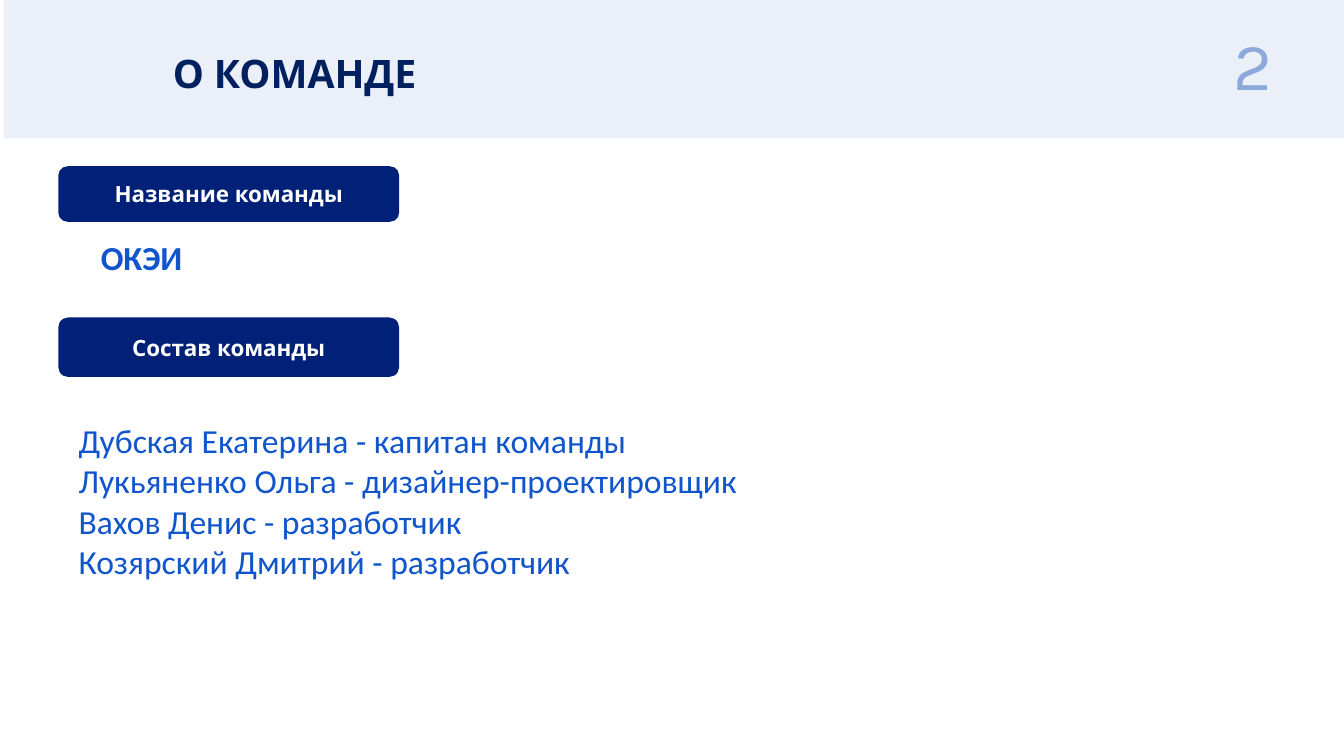
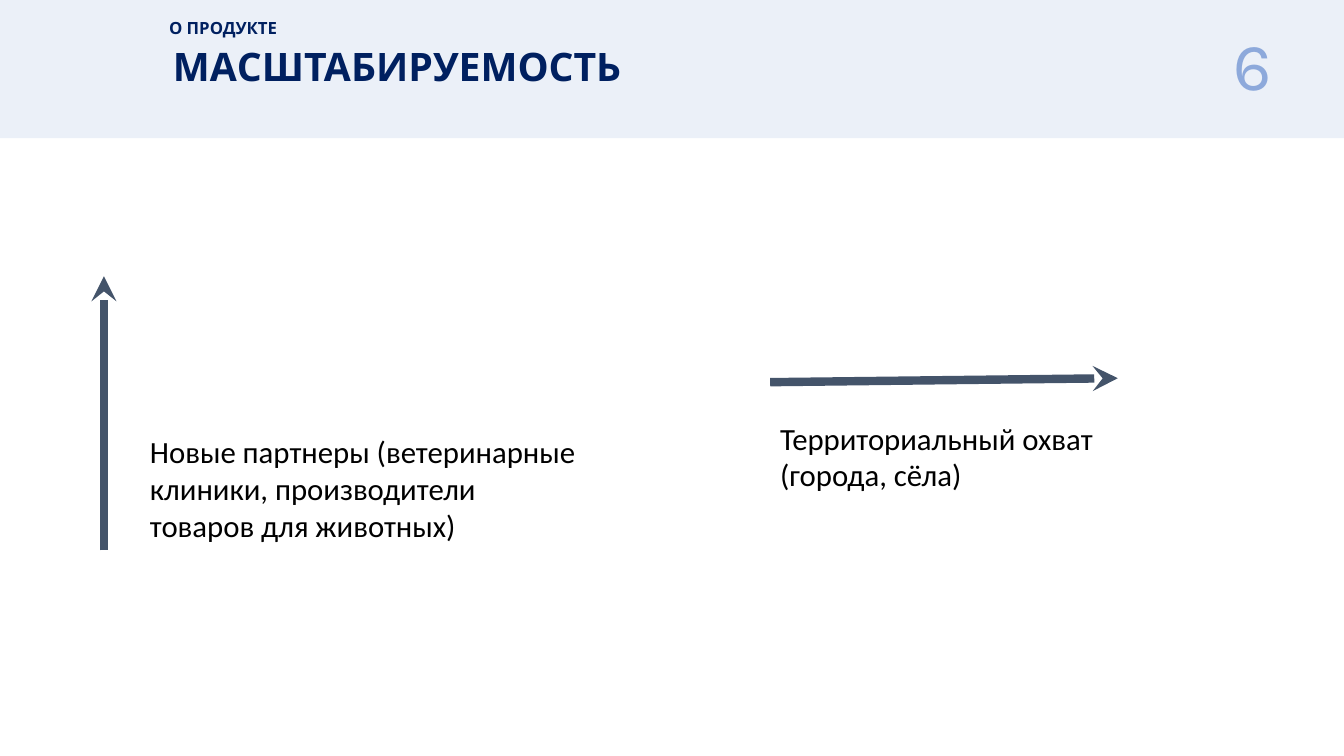
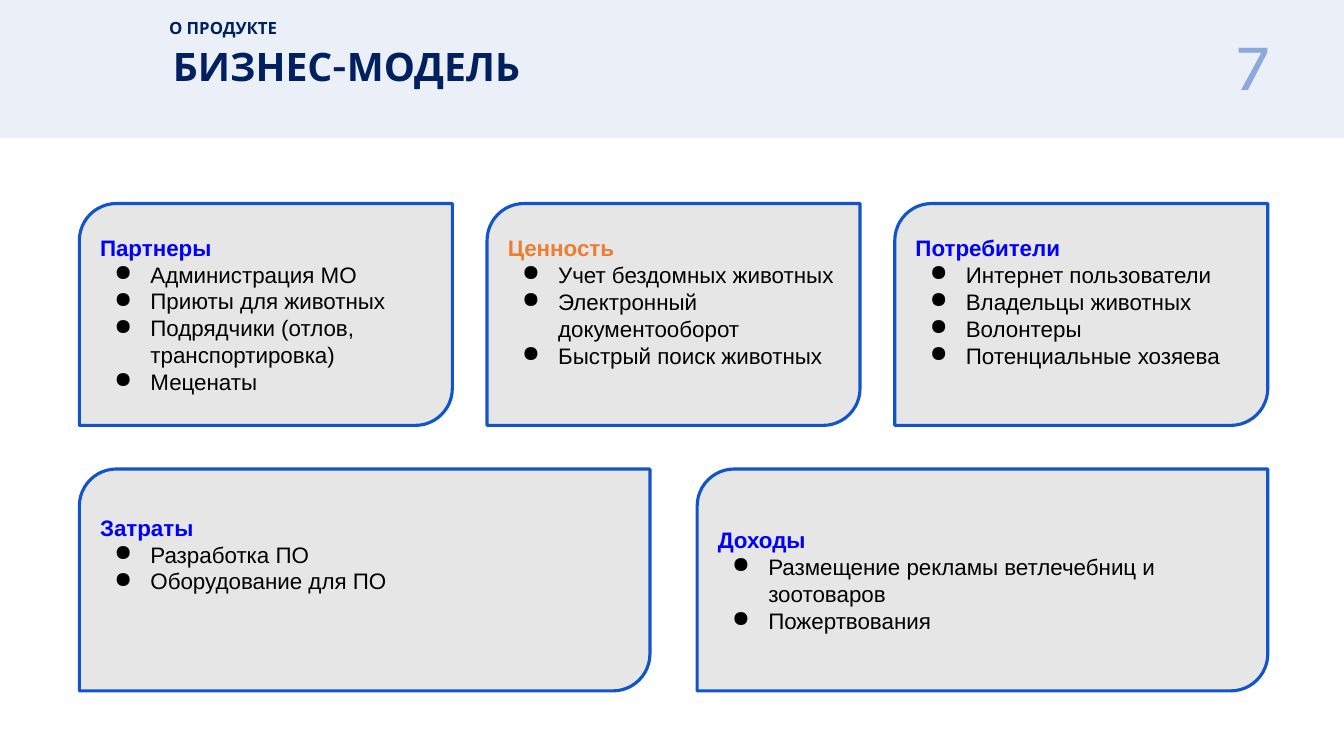
import pptx
import pptx.util
import pptx.dml.color
import pptx.enum.shapes
import pptx.enum.text
import pptx.oxml.ns
import lxml.etree

Cm = pptx.util.Cm
Pt = pptx.util.Pt
KIND = pptx.enum.shapes.MSO_SHAPE
ALIGN = pptx.enum.text.PP_ALIGN
MID = pptx.enum.text.MSO_ANCHOR.MIDDLE
TOP = pptx.enum.text.MSO_ANCHOR.TOP
GROW = pptx.enum.text.MSO_AUTO_SIZE.SHAPE_TO_FIT_TEXT

WIDE, HIGH = 33.87, 19.05
NAVY, BLUE, BAND, PALE = "002060", "1155CC", "D8E2F3", "8DA9DB"
PILL, SLATE, GREY = "002177", "44546A", "E7E6E6"
HEAD, ACCENT, BLACK, WHITE = "0000FF", "ED7D31", "000000", "FFFFFF"

PILLS = [("Название команды", 4.19, 1.4), ("Состав команды", 8.0, 1.5)]
TEAM = "ОКЭИ"
CREW = [
    "Дубская Екатерина - капитан команды",
    "Лукьяненко Ольга - дизайнер-проектировщик",
    "Вахов Денис - разработчик",
    "Козярский Дмитрий - разработчик",
]
ARROWS = [(2.62, 13.87, 2.62, 6.96), (19.41, 9.63, 28.17, 9.53)]
NOTES = [
    ("Новые партнеры (ветеринарные клиники, производители товаров для животных)",
     (3.53, 10.77, 11.33, 3.12)),
    ("Территориальный охват (города, сёла)", (19.41, 10.44, 9.83, 2.0)),
]
ROWS = [
    (9.4, [
        ("Партнеры", HEAD, 0, ["Администрация МО", "Приюты для животных",
                               "Подрядчики (отлов, транспортировка)", "Меценаты"]),
        ("Ценность", ACCENT, 1, ["Учет бездомных животных", "Электронный документооборот",
                                 "Быстрый поиск животных"]),
        ("Потребители", HEAD, 1, ["Интернет пользователи", "Владельцы животных",
                                  "Волонтеры", "Потенциальные хозяева"]),
    ]),
    (14.38, [
        ("Затраты", HEAD, 2, ["Разработка ПО", "Оборудование для ПО"]),
        ("Доходы", HEAD, 0, ["Размещение рекламы ветлечебниц и зоотоваров",
                             "Пожертвования"]),
    ]),
]
LEFT, RIGHT, START, TALL, STEP, LINE = 2.0, 31.95, 5.13, 5.59, 6.69, 0.65


def tint(code):
    return pptx.dml.color.RGBColor.from_string(code)


def node(base, tag, **attrs):
    return lxml.etree.SubElement(base, pptx.oxml.ns.qn(tag), attrs)


def say(frame, text, size=16, font="Karla", color=NAVY, bold=False,
        align=ALIGN.LEFT, gap=None, dot=None):
    para = frame.paragraphs[0]
    if para.runs:
        para = frame.add_paragraph()
    para.alignment = align
    if gap:
        para.line_spacing = gap
    if dot:
        prop = para._p.get_or_add_pPr()
        prop.set("marL", str(Cm(1.27)))
        prop.set("indent", str(-Cm(0.91)))
        node(node(prop, "a:buClr"), "a:srgbClr", val=BLACK)
        node(prop, "a:buChar", char=dot)
    run = para.add_run()
    run.text = text
    run.font.size = Pt(size)
    run.font.name = font
    run.font.bold = bold
    run.font.color.rgb = tint(color)


def box(slide, left, top, wide, high, anchor=TOP, grow=True):
    frame = slide.shapes.add_textbox(Cm(left), Cm(top), Cm(wide), Cm(high)).text_frame
    frame.word_wrap = True
    frame.vertical_anchor = anchor
    if grow:
        frame.auto_size = GROW
    return frame


def block(slide, kind, left, top, wide, high, fill, edge=None):
    shape = slide.shapes.add_shape(kind, Cm(left), Cm(top), Cm(wide), Cm(high))
    shape.shadow.inherit = False
    shape.fill.solid()
    shape.fill.fore_color.rgb = tint(fill)
    if edge:
        shape.line.color.rgb = tint(edge)
        shape.line.width = Pt(2.25)
    else:
        shape.line.fill.background()
    shape.text_frame.word_wrap = True
    shape.text_frame.vertical_anchor = MID
    return shape


def page(deck, title, num, label=None, left=0):
    slide = deck.slides.add_slide(deck.slide_layouts[6])
    band = block(slide, KIND.RECTANGLE, left, 0, WIDE - left, 3.48, BAND)
    shade = band.fill._xPr.find(".//" + pptx.oxml.ns.qn("a:srgbClr"))
    node(shade, "a:alpha", val="50000")
    top = 0.94 if label else 1.12
    say(box(slide, 4.11, top, 22.5, 1.45, MID), title, size=28, bold=True)
    if label:
        say(box(slide, 4.01, 0.33, 4.11, 0.76, MID), label, size=12, bold=True)
    say(box(slide, 29.9, 0.94, 3.35, 1.8), num, size=48, color=PALE,
        align=ALIGN.CENTER, gap=0.75)
    return slide


def arrow(slide, *ends):
    kind = pptx.enum.shapes.MSO_CONNECTOR.STRAIGHT
    line = slide.shapes.add_connector(kind, *map(Cm, ends))
    line.line.color.rgb = tint(SLATE)
    line.line.width = Pt(6)
    node(line.line._get_or_add_ln(), "a:tailEnd", type="stealth")
    node(line._element.spPr, "a:effectLst")


def card(slide, left, top, wide, title, color, spare, items):
    frame = block(slide, KIND.ROUND_2_DIAG_RECTANGLE, left, top, wide, TALL,
                  GREY, BLUE).text_frame
    frame.margin_top = Cm(0.25)
    frame.margin_bottom = Cm(0.25 + spare * LINE)
    say(frame, title, font="Arial", color=color, bold=True)
    for item in items:
        say(frame, item, font="Arial", color=BLACK, dot="●")


def team(deck):
    slide = page(deck, "О КОМАНДЕ", "2", left=0.09)
    for text, top, high in PILLS:
        pill = block(slide, KIND.ROUNDED_RECTANGLE, 1.47, top, 8.59, high, PILL)
        say(pill.text_frame, text, color=WHITE, bold=True, align=ALIGN.CENTER)
    say(box(slide, 2.29, 6.07, 2.77, 1.27), TEAM, size=24, font="Calibri",
        color=BLUE, bold=True, gap=0.75)
    crew = box(slide, 1.73, 10.46, 17.27, 5.08)
    for text in CREW:
        say(crew, text, size=24, font="Calibri", color=BLUE)


def scale(deck):
    slide = page(deck, "МАСШТАБИРУЕМОСТЬ", "6", "О ПРОДУКТЕ")
    for ends in ARROWS:
        arrow(slide, *ends)
    for text, place in NOTES:
        say(box(slide, *place, grow=False), text, size=22, font="Calibri", color=BLACK)


def model(deck):
    slide = page(deck, "БИЗНЕС-МОДЕЛЬ", "7", "О ПРОДУКТЕ")
    for row, (wide, cards) in enumerate(ROWS):
        pitch = (RIGHT - LEFT - wide) / (len(cards) - 1)
        for col, data in enumerate(cards):
            card(slide, LEFT + col * pitch, START + row * STEP, wide, *data)


def main():
    deck = pptx.Presentation()
    deck.slide_width = Cm(WIDE)
    deck.slide_height = Cm(HIGH)
    for build in (team, scale, model):
        build(deck)
    deck.save("out.pptx")


if __name__ == "__main__":
    main()
